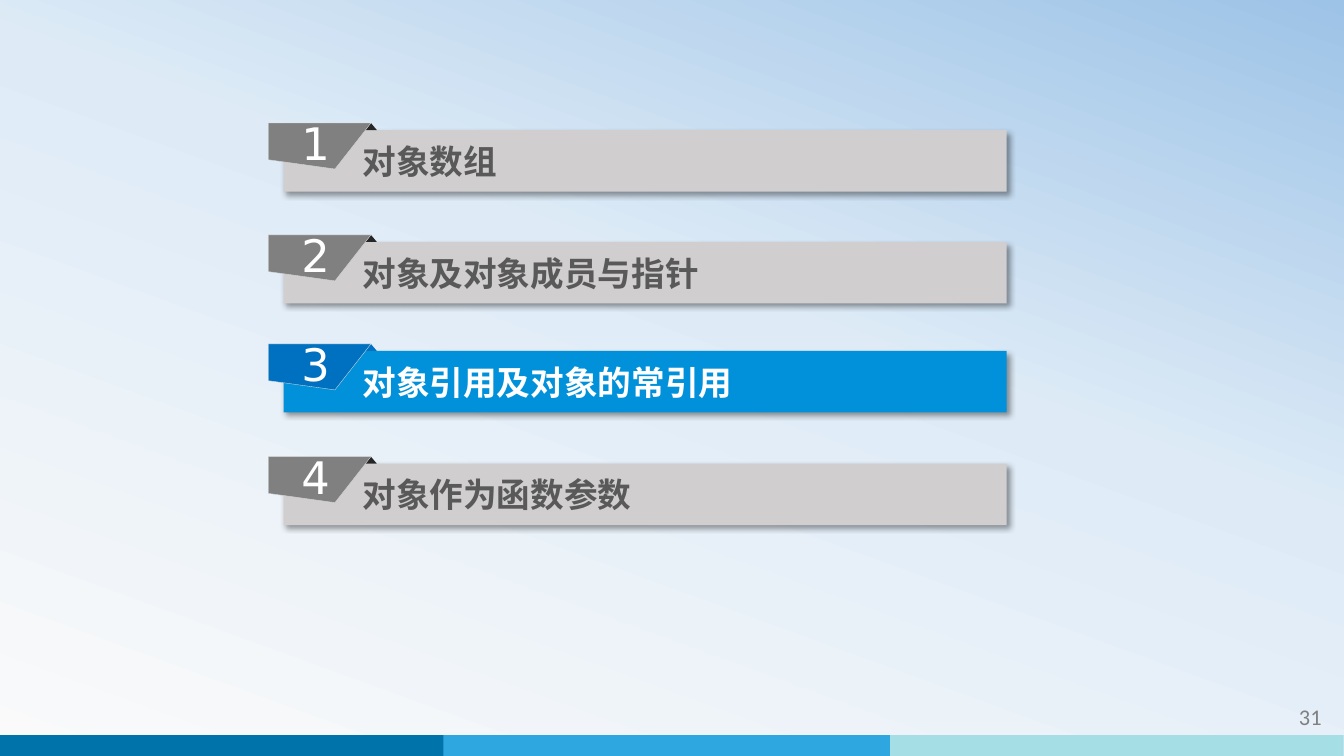
import copy
import pptx
import pptx.util
import pptx.dml.color
import pptx.enum.shapes
import pptx.enum.text
import pptx.oxml
import pptx.oxml.ns

Pt = pptx.util.Pt
SHAPE = pptx.enum.shapes.MSO_SHAPE
ALIGN = pptx.enum.text.PP_ALIGN
ANCHOR = pptx.enum.text.MSO_ANCHOR
qn = pptx.oxml.ns.qn

# Content: agenda entries with the top of each bar
AGENDA = [
    ("1", "对象数组", 92.9),
    ("2", "对象及对象成员与指针", 172.8),
    ("3", "对象引用及对象的常引用", 250.7),
    ("4", "对象作为函数参数", 331.2),
]
CURRENT = "3"
PAGE = "31"

COLORS = {
    "bar": "D0CECE", "label": "595959", "tab": "808080", "fold": "262626",
    "bar_on": "0091DA", "label_on": "FFFFFF", "tab_on": "0070C0", "fold_on": "0070C0",
    "outline": "D9D9D9", "digit": "FFFFFF", "page": "808080",
}
BACKGROUND = [(0, "FAFAFA"), (0.58, "DEEBF7"), (1, "9DC3E6")]
STRIPES = [(0, "0073AB"), (316.8, "2EA7E0"), (635.8, "A5DEE4")]

# Layout
WIDTH, HEIGHT = 960, 540
STRIPE_TOP, STRIPE_W = 525, 324
BAR_LEFT, BAR_W, BAR_H = 202.5, 516.5, 44
TAB_LEFT, TAB_RISE = 191.8, 5
TAB_OUTLINE = [(0, 0), (73.2, 0), (47.5, 32.8), (0, 26.2)]
FOLD_LEFT, FOLD_W = 260.8, 8.4

SHADOW = (
    '<a:outerShdw xmlns:a="http://schemas.openxmlformats.org/drawingml/2006/main" '
    'blurRad="50800" dist="38100" dir="2700000" algn="tl" rotWithShape="0">'
    '<a:srgbClr val="000000"><a:alpha val="40000"/></a:srgbClr></a:outerShdw>'
)


def rgb(value):
    return pptx.dml.color.RGBColor.from_string(value)


def paint(sp, fill):
    sp.shadow.inherit = False
    sp.fill.solid()
    sp.fill.fore_color.rgb = rgb(fill)
    sp.line.fill.background()


def add_shape(kind, left, top, width, height, fill):
    sp = s.shapes.add_shape(kind, Pt(left), Pt(top), Pt(width), Pt(height))
    paint(sp, fill)
    return sp


def write(sp, text, size, font, color, align, insets, bold=False):
    tf = sp.text_frame
    tf.word_wrap = True
    tf.vertical_anchor = ANCHOR.MIDDLE
    tf.margin_left, tf.margin_top, tf.margin_right, tf.margin_bottom = map(Pt, insets)
    p = tf.paragraphs[0]
    p.alignment = align
    r = p.add_run()
    r.text = text
    r.font.size = Pt(size)
    r.font.name = font
    r.font.bold = bold
    r.font.color.rgb = rgb(color)
    ea = r.font._element.makeelement(qn("a:ea"), {"typeface": font})
    r.font._element.find(qn("a:latin")).addnext(ea)


prs = pptx.Presentation()
prs.slide_width, prs.slide_height = Pt(WIDTH), Pt(HEIGHT)
s = prs.slides.add_slide(prs.slide_layouts[6])

# Background gradient, rising to the upper right
fill = s.background.fill
fill.gradient()
fill.gradient_angle = 70
first = s.element.find(".//" + qn("a:gs"))
first.addnext(copy.deepcopy(first))
for stop, (position, color) in zip(fill.gradient_stops, BACKGROUND):
    stop.position = position
    stop.color.rgb = rgb(color)

# Footer stripes and page number
for left, color in STRIPES:
    add_shape(SHAPE.RECTANGLE, left, STRIPE_TOP, STRIPE_W, HEIGHT - STRIPE_TOP, color)
page = s.shapes.add_textbox(Pt(836.6), Pt(497.5), Pt(114.5), Pt(28.8))
write(page, PAGE, 16, "Calibri", COLORS["page"], ALIGN.RIGHT, (7.2, 3.6, 7.2, 3.6))

# Agenda: bar, fold and numbered tab
for number, label, top in AGENDA:
    state = "_on" if number == CURRENT else ""
    tab_top = top - TAB_RISE

    bar = add_shape(SHAPE.RECTANGLE, BAR_LEFT, top, BAR_W, BAR_H, COLORS["bar" + state])
    bar._element.spPr.find(qn("a:effectLst")).append(pptx.oxml.parse_xml(SHADOW))
    write(bar, label, 24, "Noto Sans CJK SC", COLORS["label" + state],
          ALIGN.LEFT, (56.5, 3.6, 7.2, 3.6), bold=True)

    add_shape(SHAPE.ISOSCELES_TRIANGLE, FOLD_LEFT, tab_top, FOLD_W, TAB_RISE,
              COLORS["fold" + state])

    points = [(Pt(TAB_LEFT + x), Pt(tab_top + y)) for x, y in TAB_OUTLINE]
    builder = s.shapes.build_freeform(*points[0])
    builder.add_line_segments(points[1:], close=True)
    tab = builder.convert_to_shape()
    paint(tab, COLORS["tab" + state])
    tab.line.color.rgb = rgb(COLORS["outline"])
    tab.line.width = Pt(0.25)
    write(tab, number, 32, "DejaVu Sans", COLORS["digit"], ALIGN.CENTER,
          (6.5, 2.9, 12.2, 7.2))

prs.save("out.pptx")
